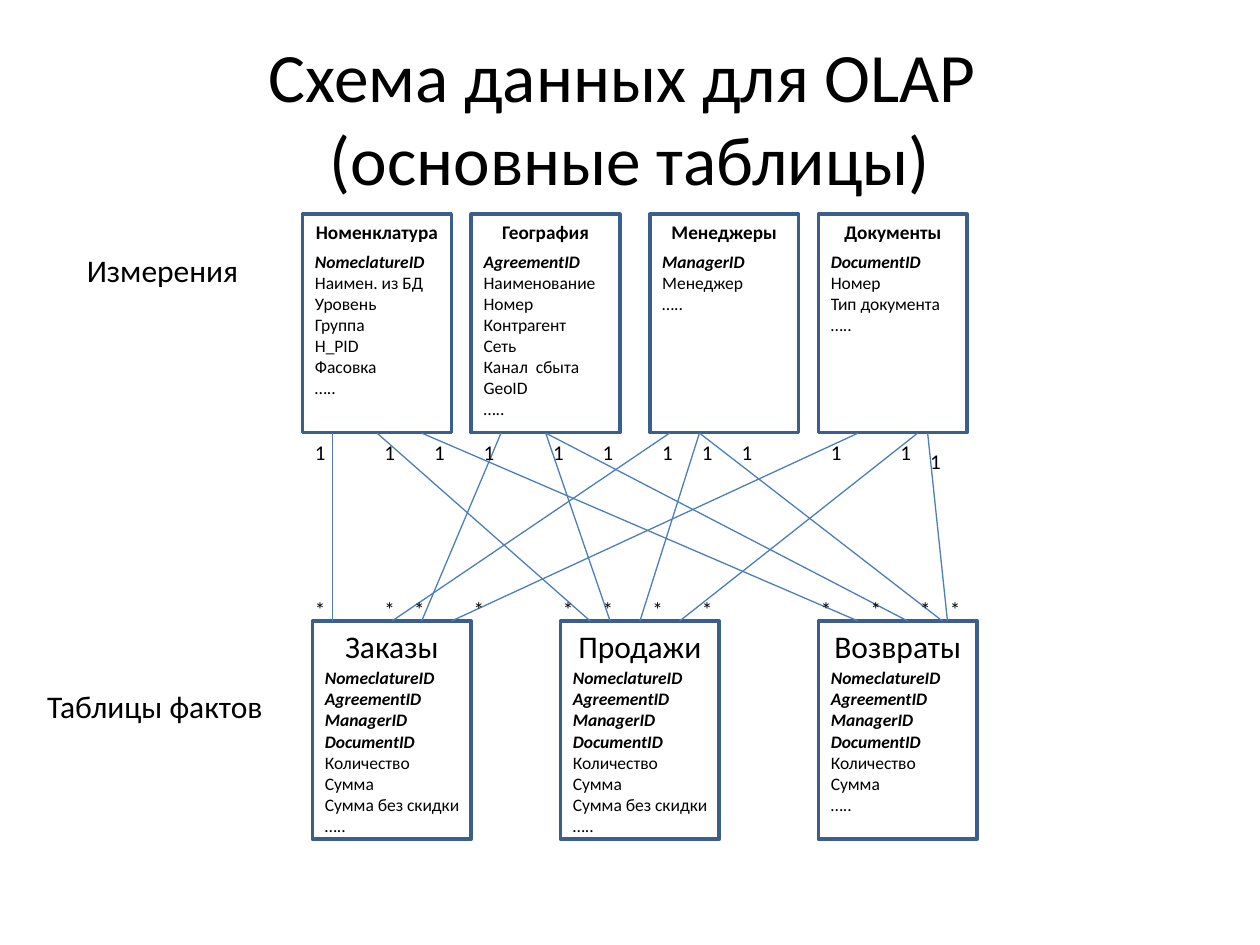
"""Build the data schema slide: dimension tables linked to fact tables."""
from lxml import etree
from pptx import Presentation
from pptx.dml.color import RGBColor
from pptx.enum.shapes import MSO_CONNECTOR, MSO_SHAPE
from pptx.enum.text import MSO_ANCHOR, MSO_AUTO_SIZE, PP_ALIGN
from pptx.oxml.ns import qn
from pptx.util import Cm, Pt

RECTANGLE = MSO_SHAPE.RECTANGLE
STRAIGHT = MSO_CONNECTOR.STRAIGHT
LEFT, CENTER = PP_ALIGN.LEFT, PP_ALIGN.CENTER
MIDDLE = MSO_ANCHOR.MIDDLE
GROW, FIXED = MSO_AUTO_SIZE.SHAPE_TO_FIT_TEXT, MSO_AUTO_SIZE.NONE
FONT = "Calibri"
COLORS = {"text": "000000", "border": "3A5F8C", "link": "4B7EBC"}

DIMENSION_TOP, FACT_TOP, TABLE_HEIGHT = 4.32, 12.52, 4.4
DIMENSION_BOTTOM = 8.73
FACT_KEYS = ["NomeclatureID", "AgreementID", "ManagerID", "DocumentID"]

dimensions = [
    (6.1, "Номенклатура", ["NomeclatureID"],
     ["Наимен. из БД\vУровень", "Группа", "Н_РID", "Фасовка", "….."]),
    (9.5, "География", ["AgreementID"],
     ["Наименование\vНомер", "Контрагент", "Сеть", "Канал  сбыта", "GeoID", "….."]),
    (13.1, "Менеджеры", ["ManagerID"], ["Менеджер\v….."]),
    (16.5, "Документы", ["DocumentID"], ["Номер\vТип документа", "….."]),
]
facts = [
    (6.3, "Заказы", FACT_KEYS, ["Количество", "Сумма", "Сумма без скидки", "….."]),
    (11.3, "Продажи", FACT_KEYS, ["Количество", "Сумма", "Сумма без скидки", "….."]),
    (16.5, "Возвраты", FACT_KEYS, ["Количество", "Сумма", "….."]),
]
levels = [
    (dimensions, DIMENSION_TOP, 3.0, 3.0, 0.73, 11, True, 0.61),
    (facts, FACT_TOP, 3.2, 3.4, 1.03, 18, False, 0.81),
]
links = [
    (6.7, 6.7), (7.6, 11.9), (8.5, 17.3), (10.1, 8.5), (11, 12.3), (11, 18.3),
    (14.1, 12.9), (13.5, 7.9), (14.1, 19), (17.3, 9.1), (18.5, 13.7), (18.7, 19.1),
]
one_marks = [6.1, 7.5, 8.5, 9.5, 10.9, 11.9, 13.1, 13.9, 14.7, 16.5, 17.9]
many_marks = [6.1, 7.5, 8.1, 9.3, 11.1, 11.9, 12.9, 13.9, 16.3, 17.3, 18.3, 18.9]
marks = [("1", x, DIMENSION_BOTTOM) for x in one_marks] + [("1", 18.5, 8.92)]
marks += [("*", x, 11.91) for x in many_marks]

presentation = Presentation()
presentation.slide_width, presentation.slide_height = Cm(25.4), Cm(19.05)
slide = presentation.slides.add_slide(presentation.slide_layouts[6])


def color(name):
    return RGBColor.from_string(COLORS[name])


def add_text(box, paragraphs, size, align=LEFT, wrap=True, fit=GROW):
    """Add a text box from (text, bold, italic) paragraphs."""
    frame = slide.shapes.add_textbox(*map(Cm, box)).text_frame
    frame.word_wrap, frame.auto_size = wrap, fit
    for index, (text, bold, italic) in enumerate(paragraphs):
        paragraph = frame.add_paragraph() if index else frame.paragraphs[0]
        paragraph.alignment = align
        for number, line in enumerate(text.split("\v")):
            if number:
                paragraph.add_line_break()
            run = paragraph.add_run()
            run.text = line
            run.font.name, run.font.size = FONT, Pt(size)
            run.font.bold, run.font.italic = bold, italic
            run.font.color.rgb = color("text")
    return frame


title = add_text((1.27, 0.76, 22.86, 3.18),
                 [("Схема данных для OLAP \v(основные таблицы)", False, False)],
                 39.6, CENTER, fit=FIXED)
title.vertical_anchor = MIDDLE

for tables, top, width, body_width, head_height, head_size, head_bold, offset in levels:
    for left, name, keys, fields in tables:
        border = slide.shapes.add_shape(
            RECTANGLE, Cm(left), Cm(top), Cm(width), Cm(TABLE_HEIGHT))
        border.shadow.inherit = False
        border.fill.background()
        border.line.color.rgb = color("border")
        border.line.width = Pt(2)
        add_text((left, top, width, head_height), [(name, head_bold, False)],
                 head_size, CENTER)
        rows = [(key, True, True) for key in keys]
        rows += [(field, False, False) for field in fields]
        line_count = sum(1 + text.count("\v") for text, _, _ in rows)
        add_text((left, top + offset, body_width, 0.25 + 0.43 * line_count), rows, 10)

for dimension_x, fact_x in links:
    link = slide.shapes.add_connector(
        STRAIGHT, Cm(dimension_x), Cm(DIMENSION_BOTTOM), Cm(fact_x), Cm(FACT_TOP))
    link.line.color.rgb = color("link")
    link.line.width = Pt(0.75)
    etree.SubElement(link._element.spPr, qn("a:effectLst"))

for mark, left, top in marks:
    add_text((left, top, 0.7, 0.77), [(mark, False, False)], 12)

for label, box in [("Таблицы фактов", (0.7, 13.72, 4.9, 1.03)),
                   ("Измерения", (1.5, 4.93, 3.6, 1.03))]:
    add_text(box, [(label, False, False)], 18, wrap=False)

presentation.save("out.pptx")
